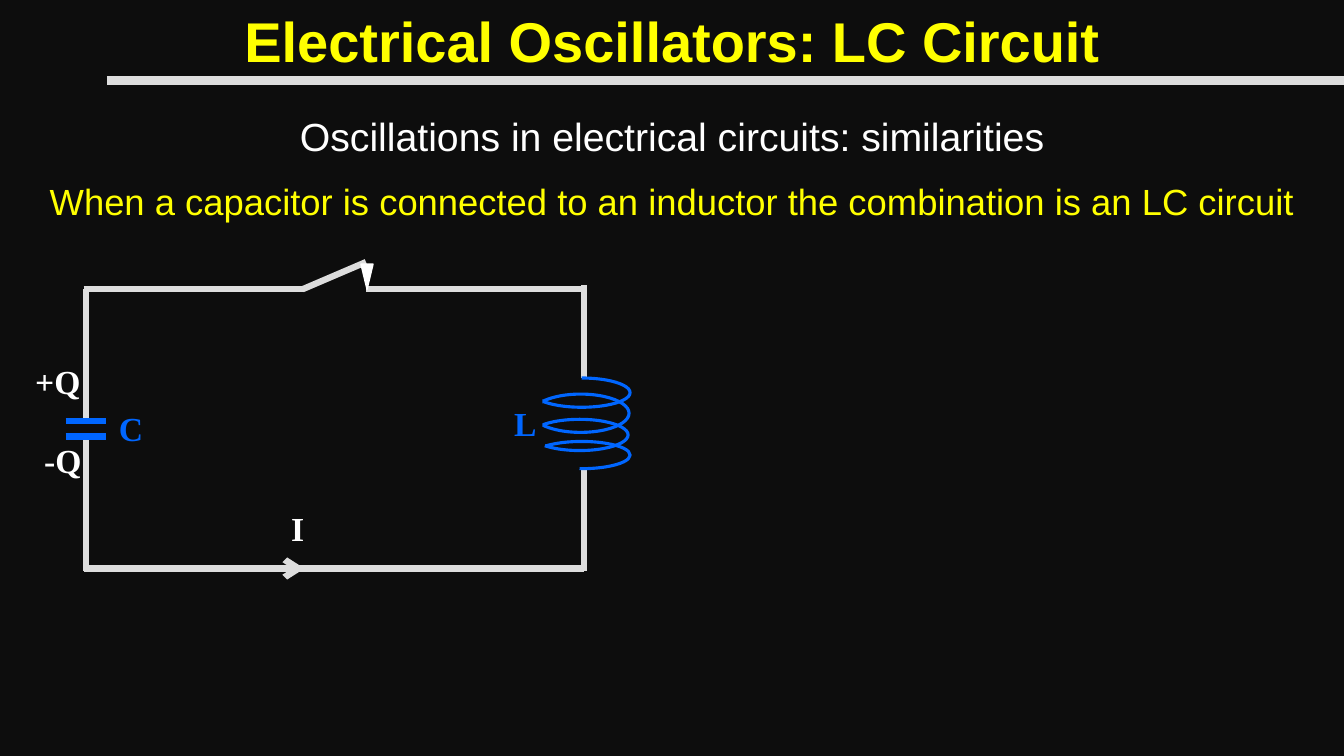
from dataclasses import dataclass

import pptx
import pptx.dml.color
import pptx.enum.shapes
import pptx.enum.text
import pptx.oxml.ns
import pptx.util
from lxml import etree

Inches = pptx.util.Inches
SHAPE = pptx.enum.shapes.MSO_SHAPE
ALIGN = pptx.enum.text.PP_ALIGN

BACKGROUND, WIRE, BLUE = "0D0D0D", "DDDDDD", "0066FF"
WHITE, YELLOW = "FFFFFF", "FFFF00"


@dataclass
class Line:
    start: tuple[float, float]
    end: tuple[float, float]
    color: str = WIRE
    width: float = 4.5
    arrow: bool = False


@dataclass
class Turn:
    """One turn of the coil: its frame and the two arc adjustments."""
    left: float
    top: float
    height: float
    start: float
    end: float


@dataclass
class Label:
    text: str
    left: float
    top: float
    width: float
    color: str


@dataclass
class Heading:
    text: str
    left: float
    top: float
    height: float
    size: int
    color: str
    bold: bool = False


LINES = [
    Line((1.06, 0.8), (13.33, 0.8), width=6),  # title rule
    # Top wire and open switch
    Line((0.83, 2.87), (3.02, 2.87)),
    Line((3, 2.87), (3.63, 2.6)),
    Line((3.63, 2.87), (5.82, 2.87)),
    # Left wire and capacitor
    Line((0.85, 4.19), (0.85, 2.87)),
    Line((0.85, 5.66), (0.85, 4.33)),
    Line((0.65, 4.18), (1.05, 4.18), BLUE),
    Line((0.65, 4.33), (1.05, 4.33), BLUE),
    # Bottom wire with current direction
    Line((0.83, 5.64), (3.02, 5.64), arrow=True),
    Line((2.72, 5.64), (5.79, 5.64)),
    # Right wire
    Line((5.79, 3.75), (5.79, 2.83)),
    Line((5.79, 5.66), (5.79, 4.63)),
]
TURNS = [
    Turn(5.28, 3.91, 0.38, 116.6, 97.67),
    Turn(5.29, 3.75, 0.29, 162, 106.19),
    Turn(5.27, 4.16, 0.31, 116.6, 97.67),
    Turn(5.29, 4.38, 0.27, 116.6, 59.55),
]
HEADINGS = [
    Heading("Electrical Oscillators: LC Circuit", 0, 0.02, 0.77, 40, YELLOW, True),
    Heading("Oscillations in electrical circuits: similarities", 0, 1.07, 0.57, 28, WHITE),
    Heading("When a capacitor is connected to an inductor the combination is an LC circuit",
            0.01, 1.73, 0.54, 26, YELLOW),
]
LABELS = [
    Label("C", 1.08, 4, 0.45, BLUE),
    Label("I", 2.79, 4.99, 0.33, WHITE),
    Label("L", 5, 3.95, 0.43, BLUE),
    Label("+Q", 0.25, 3.53, 0.65, WHITE),
    Label("-Q", 0.34, 4.32, 0.58, WHITE),
]


def rgb(color: str) -> pptx.dml.color.RGBColor:
    return pptx.dml.color.RGBColor.from_string(color)


def add_line(page, line: Line) -> None:
    connector = page.shapes.add_connector(
        pptx.enum.shapes.MSO_CONNECTOR.STRAIGHT,
        *(Inches(value) for value in (*line.start, *line.end)))
    connector.line.color.rgb = rgb(line.color)
    connector.line.width = pptx.util.Pt(line.width)
    if line.arrow:
        etree.SubElement(connector.line._get_or_add_ln(),
                         pptx.oxml.ns.qn("a:tailEnd"), type="arrow")
    etree.SubElement(connector._element.spPr, pptx.oxml.ns.qn("a:effectLst"))


def add_shape(page, kind, frame: tuple[float, float, float, float], *,
              fill: str | None = None, line: str | None = None, width: float = 1):
    shape = page.shapes.add_shape(kind, *(Inches(value) for value in frame))
    shape.shadow.inherit = False
    if fill:
        shape.fill.solid()
        shape.fill.fore_color.rgb = rgb(fill)
    else:
        shape.fill.background()
    if line:
        shape.line.color.rgb = rgb(line)
        shape.line.width = pptx.util.Pt(width)
    else:
        shape.line.fill.background()
    return shape


def add_text(page, text: str, frame: tuple[float, float, float, float], *,
             size: int, color: str, font: str, bold: bool = False,
             wrap: bool = True, align=ALIGN.LEFT) -> None:
    box = page.shapes.add_textbox(*(Inches(value) for value in frame))
    box.text_frame.word_wrap = wrap
    box.text_frame.auto_size = pptx.enum.text.MSO_AUTO_SIZE.SHAPE_TO_FIT_TEXT
    para = box.text_frame.paragraphs[0]
    para.alignment = align
    span = para.add_run()
    span.text = text
    span.font.name = font
    span.font.size = pptx.util.Pt(size)
    span.font.bold = bold
    span.font.color.rgb = rgb(color)


def main() -> None:
    deck = pptx.Presentation()
    deck.slide_width, deck.slide_height = Inches(13.33), Inches(7.5)
    page = deck.slides.add_slide(deck.slide_layouts[6])
    page.background.fill.solid()
    page.background.fill.fore_color.rgb = rgb(BACKGROUND)

    # Headings
    for heading in HEADINGS:
        add_text(page, heading.text, (heading.left, heading.top, 13.33, heading.height),
                 size=heading.size, color=heading.color, font="Arial",
                 bold=heading.bold, align=ALIGN.CENTER)

    # Wires, capacitor and switch contact
    for line in LINES:
        add_line(page, line)
    contact = add_shape(page, SHAPE.ISOSCELES_TRIANGLE, (3.58, 2.62, 0.12, 0.25),
                        fill=WHITE, line=WHITE)
    contact.rotation = 180

    # Inductor coil, with its left ends trimmed by a cover
    for turn in TURNS:
        arc = add_shape(page, SHAPE.ARC, (turn.left, turn.top, 0.96, turn.height),
                        line=BLUE, width=2.25)
        arc.adjustments[0] = turn.start
        arc.adjustments[1] = turn.end
    add_shape(page, SHAPE.RECTANGLE, (5.08, 3.56, 0.3, 1.36), fill=BACKGROUND)

    # Circuit labels
    for label in LABELS:
        add_text(page, label.text, (label.left, label.top, label.width, 0.5),
                 size=24, color=label.color, font="Times New Roman", bold=True, wrap=False)

    deck.save("out.pptx")


if __name__ == "__main__":
    main()
